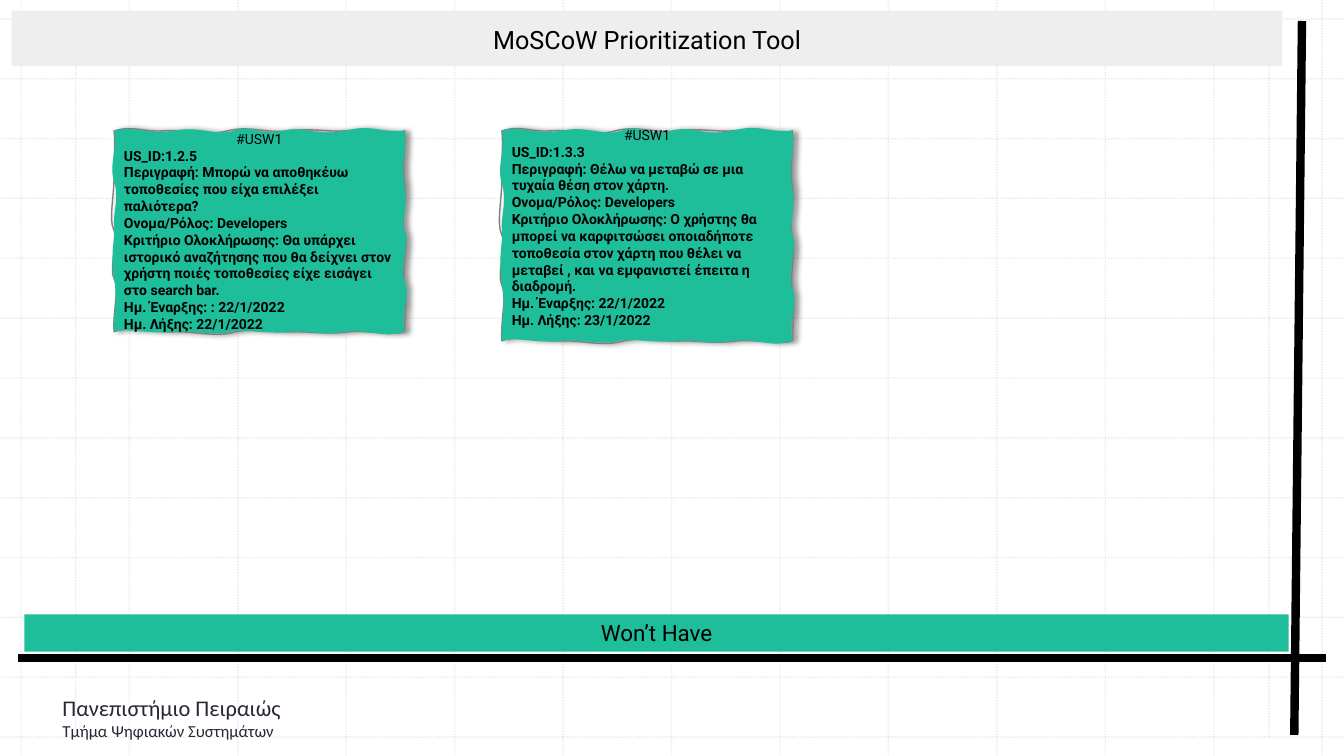
from lxml.etree import SubElement
from pptx import Presentation
from pptx.dml.color import RGBColor
from pptx.enum.dml import MSO_LINE
from pptx.enum.shapes import MSO_CONNECTOR, MSO_SHAPE
from pptx.enum.text import MSO_ANCHOR, MSO_AUTO_SIZE, PP_ALIGN
from pptx.oxml.ns import qn
from pptx.util import Pt

WIDTH, HEIGHT = 960, 540
GREEN, BLACK, GRID_GREY = "1EBE9B", "000000", "BCBCBC"
NOTE_TOP, NOTE_WIDTH = 93.5, 207.5

# Torn paper edges: each row is two curve handles and the point they lead to.
TORN_BORDER = [
    ((14, -4), (20, 1), (35, 0)), ((50, -1), (65, 4), (81, 0)),
    ((97, -4), (107, 2), (125, 0)), ((142, -2), (155, 1), (164, 0)),
    ((173, -1), (196, 4), (207, 0)), ((208, 12), (205, 26), (207, 37)),
    ((209, 49), (204, 63), (207, 72)), ((210, 80), (205, 96), (207, 109)),
    ((209, 122), (207, 133), (207, 143)), ((199, 146), (184, 142), (168, 143)),
    ((153, 145), (140, 143), (129, 143)), ((117, 144), (102, 140), (87, 143)),
    ((73, 147), (60, 143), (44, 143)), ((28, 144), (14, 138), (0, 143)),
    ((-1, 128), (4, 112), (0, 105)), ((-4, 97), (4, 78), (0, 71)),
    ((-4, 63), (0, 48), (0, 32)), ((0, 15), (1, 9), (0, 0)),
]
TORN_PAPER = [
    ((14, -4), (24, 3), (42, 0)), ((60, -4), (73, 4), (85, 0)),
    ((97, -5), (105, 4), (120, 0)), ((135, -4), (143, 4), (164, 0)),
    ((184, -5), (186, 1), (207, 0)), ((209, 18), (204, 20), (207, 39)),
    ((210, 57), (204, 63), (207, 71)), ((211, 77), (203, 99), (207, 107)),
    ((212, 116), (204, 128), (207, 143)), ((192, 148), (182, 141), (164, 143)),
    ((146, 146), (143, 142), (127, 143)), ((109, 145), (94, 141), (83, 143)),
    ((73, 146), (58, 142), (42, 143)), ((26, 145), (10, 140), (0, 143)),
    ((-1, 131), (3, 123), (0, 105)), ((-3, 86), (1, 76), (0, 68)),
    ((-1, 59), (4, 48), (0, 36)), ((-4, 24), (3, 11), (0, 0)),
]

# Left, height, room kept free under the text, lines
NOTES = [
    (81.5, 143.5, 3.6, [
        "#USW1",
        "US_ID:1.2.5",
        "Περιγραφή: Mπορώ να αποθηκέυω τοποθεσίες που είχα επιλέξει παλιότερα?",
        "Ονομα/Ρόλος: Developers",
        "Κριτήριο Ολοκλήρωσης: Θα υπάρχει ιστορικό αναζήτησης που θα δείχνει στον "
        "χρήστη ποιές τοποθεσίες είχε εισάγει στο search bar.",
        "Ημ. Έναρξης: : 22/1/2022",
        "Ημ. Λήξης: 22/1/2022",
    ]),
    (358.5, 150, 15.6, [
        "#USW1",
        "US_ID:1.3.3",
        "Περιγραφή: Θέλω να μεταβώ σε μια τυχαία θέση στον χάρτη.",
        "Ονομα/Ρόλος: Developers",
        "Κριτήριο Ολοκλήρωσης: Ο χρήστης θα μπορεί να καρφιτσώσει οποιαδήποτε "
        "τοποθεσία στον χάρτη που θέλει να μεταβεί , και να εμφανιστεί έπειτα η διαδρομή.",
        "Ημ. Έναρξης: 22/1/2022",
        "Ημ. Λήξης: 23/1/2022",
    ]),
]


def color(hex_string):
    return RGBColor.from_string(hex_string)


def fill_shape(shape, hex_string):
    shape.fill.solid()
    shape.fill.fore_color.rgb = color(hex_string)


def place(shape, left, top, width, height):
    shape.left, shape.top = Pt(left), Pt(top)
    shape.width, shape.height = Pt(width), Pt(height)


def format_paragraph(paragraph, size, font="Roboto", hex_string=BLACK,
                     bold=False, align=PP_ALIGN.LEFT):
    paragraph.alignment = align
    for run in paragraph.runs:
        run.font.size = Pt(size)
        run.font.name = font
        run.font.bold = bold
        run.font.color.rgb = color(hex_string)


def add_line(slide, start, end, hex_string, width):
    points = [Pt(value) for value in (*start, *end)]
    connector = slide.shapes.add_connector(MSO_CONNECTOR.STRAIGHT, *points)
    connector.line.color.rgb = color(hex_string)
    connector.line.width = Pt(width)
    SubElement(connector._element.spPr, qn("a:effectLst"))
    return connector


def add_grid_line(slide, start, end):
    """Draw a faint dotted line and move it to the layout, behind the slide."""
    connector = add_line(slide, start, end, GRID_GREY, 1)
    connector.line.dash_style = MSO_LINE.ROUND_DOT
    tint = connector._element.spPr.find(".//" + qn("a:srgbClr"))
    SubElement(tint, qn("a:alpha"), val="30000")
    layout_shapes = slide.slide_layout.shapes
    connector._element.nvCxnSpPr.cNvPr.id = 100 + len(layout_shapes)
    layout_shapes._spTree.append(connector._element)


def add_grid(slide):
    columns = [15 + 77.45 * index for index in range(13)]
    rows = [13.5 + 42.75 * index for index in range(13)]
    for x in columns:
        add_grid_line(slide, (x, 0), (x, HEIGHT))
    for y in rows:
        add_grid_line(slide, (0, y), (WIDTH, y))
    for x in (54, 906.5):
        add_grid_line(slide, (x, rows[0]), (x, rows[-1]))


def set_title(slide, text):
    title = slide.shapes.title
    place(title, 8.4, 7.5, 907.7, 39.5)
    fill_shape(title, "EEEEEE")
    title.text_frame.text = text
    title.text_frame.vertical_anchor = MSO_ANCHOR.MIDDLE
    paragraph = title.text_frame.paragraphs[0]
    paragraph.line_spacing = 1.07
    paragraph.space_after = Pt(8)
    format_paragraph(paragraph, 18, align=PP_ALIGN.CENTER)


def add_banner(slide, text):
    banner = slide.shapes.add_shape(
        MSO_SHAPE.RECTANGLE, Pt(17.5), Pt(438.9), Pt(903), Pt(26.6))
    banner.shadow.inherit = False
    fill_shape(banner, GREEN)
    banner.line.fill.background()
    banner.text_frame.text = text
    banner.text_frame.vertical_anchor = MSO_ANCHOR.TOP
    banner.text_frame.auto_size = MSO_AUTO_SIZE.SHAPE_TO_FIT_TEXT
    format_paragraph(banner.text_frame.paragraphs[0], 16, align=PP_ALIGN.CENTER)


def add_footer(slide, university, department):
    box = slide.shapes.add_textbox(Pt(37.5), Pt(492), Pt(214.5), Pt(45))
    box.text_frame.word_wrap = True
    box.text_frame.text = f"{university}\n{department}"
    for paragraph, size in zip(box.text_frame.paragraphs, (16, 12)):
        format_paragraph(paragraph, size, "Calibri", "2A2735")
    box.text_frame.paragraphs[0].space_before = Pt(10)


def add_curved_outline(outline, curves):
    """Replace the straight segments of one outline with cubic curves."""
    for segment in outline.findall(qn("a:lnTo")):
        outline.remove(segment)
    close = outline.find(qn("a:close"))
    for points in curves:
        curve = SubElement(outline, qn("a:cubicBezTo"))
        for x, y in points:
            SubElement(curve, qn("a:pt"), x=str(x), y=str(y))
    outline.append(close)


def add_torn_shape(slide, left, height):
    """Add one freeform: an unfilled wavy border under an unstroked sheet."""
    builder = slide.shapes.build_freeform(0, 0, scale=Pt(1))
    builder.add_line_segments([curve[-1] for curve in TORN_BORDER])
    shape = builder.convert_to_shape()
    place(shape, left, NOTE_TOP, NOTE_WIDTH, height)
    outlines = shape._element.spPr.find(".//" + qn("a:pathLst"))
    border = outlines[0]
    add_curved_outline(border, TORN_BORDER)
    border.set("fill", "none")
    paper = SubElement(outlines, qn("a:path"), w=border.get("w"),
                       h=border.get("h"), stroke="0")
    start = SubElement(paper, qn("a:moveTo"))
    SubElement(start, qn("a:pt"), x="0", y="0")
    SubElement(paper, qn("a:close"))
    add_curved_outline(paper, TORN_PAPER)
    return shape


def add_note(slide, left, height, bottom_margin, lines):
    note = add_torn_shape(slide, left, height)
    fill_shape(note, GREEN)
    note.line.color.rgb = color("808080")
    note.line.width = Pt(1)
    note.shadow.inherit = False
    effects = note._element.spPr.find(qn("a:effectLst"))
    shadow = SubElement(effects, qn("a:outerShdw"), blurRad=str(Pt(4)),
                        dist=str(Pt(3)), dir="0", algn="l", rotWithShape="0")
    SubElement(SubElement(shadow, qn("a:srgbClr"), val=BLACK),
               qn("a:alpha"), val="40000")

    frame = note.text_frame
    frame.word_wrap = True
    frame.vertical_anchor = MSO_ANCHOR.MIDDLE
    frame.margin_bottom = Pt(bottom_margin)
    frame.text = "\n".join(lines)
    heading, *details = frame.paragraphs
    format_paragraph(heading, 10, align=PP_ALIGN.CENTER)
    for paragraph in details:
        format_paragraph(paragraph, 10, bold=True)


def main():
    presentation = Presentation()
    presentation.slide_width, presentation.slide_height = Pt(WIDTH), Pt(HEIGHT)
    slide = presentation.slides.add_slide(presentation.slide_layouts[5])
    add_grid(slide)
    set_title(slide, "MoSCoW Prioritization Tool")
    add_line(slide, (13, 470.2), (947, 470.2), BLACK, 6)
    add_line(slide, (930, 15), (924.5, 525), BLACK, 6)
    add_footer(slide, "Πανεπιστήμιο Πειραιώς", "Τμήμα Ψηφιακών Συστημάτων")
    add_banner(slide, "Won’t Have")
    for note in NOTES:
        add_note(slide, *note)
    presentation.save("out.pptx")


if __name__ == "__main__":
    main()
